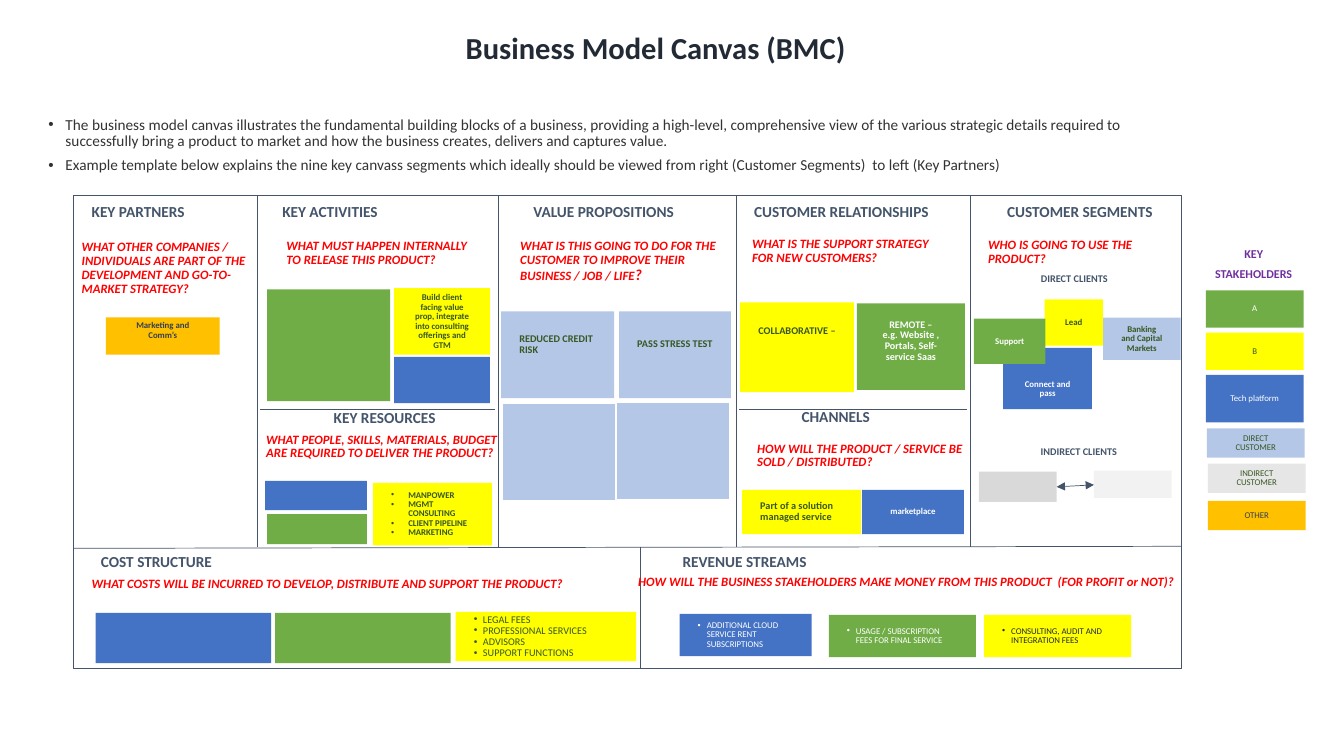
from lxml import etree
from pptx import Presentation
from pptx import util as u
from pptx.dml.color import RGBColor
from pptx.enum import shapes, text
from pptx.oxml.ns import qn

COLORS = {
    "ink": "222A35", "body": "333333", "slate": "44546A", "red": "FF0000", "purple": "7030A0",
    "green": "70AD47", "yellow": "FFFF00", "blue": "4472C4", "pale": "B4C7E7", "orange": "FFC000",
    "grey": "D9D9D9", "mist": "F2F2F2", "silver": "E7E6E6",
    "forest": "385723", "navy": "333F50", "white": "FFFFFF",
}
RGB = {name: RGBColor.from_string(value) for name, value in COLORS.items()}
LEFT, CENTER = text.PP_ALIGN.LEFT, text.PP_ALIGN.CENTER
MIDDLE, TOP = text.MSO_ANCHOR.MIDDLE, text.MSO_ANCHOR.TOP

deck = Presentation()
deck.slide_width, deck.slide_height = u.Inches(13.33), u.Inches(7.5)
slide = deck.slides.add_slide(deck.slide_layouts[5])


def write(shape, lines, size, color, bold=False, italic=False, align=LEFT, anchor=TOP,
          pad=(0.15, 0.15), after=0, bullet=0):
    """Fill a shape with paragraphs; pad is top and bottom, bullet the hanging indent in inches."""
    frame = shape.text_frame
    frame.word_wrap, frame.vertical_anchor = True, anchor
    frame.margin_left = frame.margin_right = u.Inches(0.18)
    frame.margin_top, frame.margin_bottom = (u.Inches(p) for p in pad)
    for i, line in enumerate(lines):
        paragraph = frame.paragraphs[0] if i == 0 else frame.add_paragraph()
        paragraph.text = line
        paragraph.alignment, paragraph.line_spacing = align, 0.9
        paragraph.space_after = u.Pt(after)
        if bullet:
            props = paragraph._p.get_or_add_pPr()
            props.set("marL", str(u.Inches(bullet)))
            props.set("indent", str(-u.Inches(bullet)))
            etree.SubElement(props, qn("a:buFont")).set("typeface", "Arial")
            etree.SubElement(props, qn("a:buChar")).set("char", "•")
        font = paragraph.font
        font.name, font.size, font.color.rgb = "Calibri", u.Pt(size), RGB[color]
        font.bold, font.italic = bold, italic


def rule(x1, y1, x2, y2):
    line = slide.shapes.add_connector(shapes.MSO_CONNECTOR.STRAIGHT,
                                      *(u.Inches(v) for v in (x1, y1, x2, y2)))
    line.line.color.rgb, line.line.width = RGB["slate"], u.Pt(0.5)
    etree.SubElement(line._element.spPr, qn("a:effectLst"))
    return line


title = slide.shapes.title
title.left, title.top, title.width, title.height = (u.Inches(v) for v in (2.07, 0.18, 8.87, 0.63))
write(title, ["Business Model Canvas (BMC)"], 21.8, "ink", bold=True, align=CENTER,
      anchor=MIDDLE, pad=(0.05, 0.05))

intro = slide.shapes.add_textbox(*(u.Inches(v) for v in (0.3, 1.01, 11.73, 0.86)))
write(intro, [
    "The business model canvas illustrates the fundamental building blocks of a business, "
    "providing a high-level, comprehensive view of the various strategic details required to "
    "successfully bring a product to market and how the business creates, delivers and captures value.",
    "Example template below explains the nine key canvass segments which ideally should be viewed "
    "from right (Customer Segments)  to left (Key Partners)",
], 10.9, "body", after=5.4, bullet=0.17)

# Canvas grid: five columns, split by a middle row, above two bottom cells
COLS = [0.73, 2.55, 4.94, 7.3, 9.62, 11.72]
ROWS = [1.94, 4.06, 5.43, 6.63]
SPLIT = 6.35
canvas = slide.shapes.add_shape(shapes.MSO_SHAPE.RECTANGLE, u.Inches(COLS[0]), u.Inches(ROWS[0]),
                                u.Inches(COLS[-1] - COLS[0]), u.Inches(ROWS[-1] - ROWS[0]))
canvas.shadow.inherit = False
canvas.fill.background()
canvas.line.color.rgb, canvas.line.width = RGB["slate"], u.Pt(0.5)
for x in COLS[1:-1]:
    rule(x, ROWS[0], x, ROWS[2])
rule(COLS[0], 5.44, COLS[-1], 5.42)
rule(SPLIT, ROWS[2], SPLIT, ROWS[3])
for column in (1, 3):
    rule(COLS[column] + 0.03, ROWS[1], COLS[column + 1] - 0.03, ROWS[1])

# Tiles: left, top, width, height, fill, lines, text colour, size, bold, alignment, bullet, pad
FLAT = (0, 0)
tiles = [
    (1.05, 3.15, 1.13, 0.37, "orange", ["Marketing and Comm’s"], "navy", 6.3, True, CENTER, 0, (0, 0.11)),
    (2.65, 2.87, 1.22, 1.11, "green"),
    (3.91, 2.86, 0.95, 0.66, "yellow",
     ["Build client facing value prop, integrate into consulting offerings and GTM"],
     "forest", 6.3, True, CENTER, 0, FLAT),
    (3.91, 3.54, 0.95, 0.46, "blue"),
    (2.63, 4.77, 1.01, 0.29, "blue"),
    (2.65, 5.1, 0.99, 0.3, "green"),
    (3.7, 4.79, 1.18, 0.62, "yellow", ["MANPOWER", "MGMT CONSULTING", "CLIENT PIPELINE", "MARKETING"],
     "forest", 6.3, True, LEFT, 0.17, FLAT),
    (4.97, 3.09, 1.12, 0.86, "pale", ["REDUCED CREDIT RISK"], "forest", 7.3, True, LEFT, 0, (0, 0.21)),
    (6.14, 3.09, 1.11, 0.86, "pale", ["PASS STRESS TEST"], "forest", 7.3, True, LEFT, 0, (0, 0.21)),
    (4.99, 4.01, 1.11, 0.95, "pale"),
    (6.12, 4, 1.11, 0.95, "pale"),
    (7.34, 3, 1.13, 0.89, "yellow", ["COLLABORATIVE –"], "forest", 7.3, True, CENTER, 0, (0, 0.31)),
    (8.5, 3.01, 1.07, 0.86, "green", ["REMOTE –", "e.g. Website , Portals, Self-service Saas"],
     "white", 7.2, True, CENTER, 0, (0, 0.11)),
    (7.36, 4.86, 1.18, 0.44, "yellow", ["Part of a solution managed service"],
     "forest", 7.3, True, LEFT, 0, FLAT),
    (8.55, 4.86, 1.01, 0.44, "blue", ["marketplace"], "white", 6.3, True, CENTER, 0, FLAT),
    (10.94, 3.15, 0.77, 0.42, "pale", ["Banking and Capital Markets"], "forest", 6.3, True, CENTER, 0, FLAT),
    (10.36, 2.97, 0.58, 0.46, "yellow", ["Lead"], "forest", 6.3, True, CENTER, 0, FLAT),
    (9.95, 3.45, 0.88, 0.61, "blue", ["Connect and pass"], "white", 6.3, True, CENTER, 0, (0.21, 0)),
    (9.66, 3.16, 0.71, 0.45, "green", ["Support"], "white", 6.3, True, CENTER, 0, FLAT),
    (9.71, 4.68, 0.77, 0.3, "grey"),
    (10.85, 4.67, 0.77, 0.27, "mist"),
    (0.95, 6.08, 1.74, 0.5, "blue"),
    (2.73, 6.08, 1.74, 0.5, "green"),
    (4.52, 6.07, 1.79, 0.49, "yellow",
     ["LEGAL FEES", "PROFESSIONAL SERVICES", "ADVISORS", "SUPPORT FUNCTIONS"],
     "forest", 7.3, False, LEFT, 0.09, FLAT),
    (6.74, 6.09, 1.31, 0.42, "blue", ["ADDITIONAL CLOUD SERVICE RENT SUBSCRIPTIONS"],
     "white", 6.3, False, LEFT, 0.09, FLAT),
    (8.22, 6.1, 1.46, 0.42, "green", ["USAGE / SUBSCRIPTION FEES FOR FINAL SERVICE"],
     "white", 6.3, False, LEFT, 0.09, FLAT),
    (9.76, 6.1, 1.46, 0.42, "yellow", ["CONSULTING, AUDIT AND INTEGRATION FEES"],
     "ink", 6.3, False, LEFT, 0.09, FLAT),
]
stakeholders = [
    (11.96, 2.88, 0.37, "green", "A", "white"),
    (11.96, 3.3, 0.37, "yellow", "B", "forest"),
    (11.96, 3.72, 0.47, "blue", "Tech platform", "white"),
    (11.97, 4.25, 0.29, "pale", "DIRECT CUSTOMER", "forest"),
    (11.98, 4.6, 0.29, "silver", "INDIRECT CUSTOMER", "forest"),
    (11.98, 4.97, 0.29, "orange", "OTHER", "navy"),
]
tiles += [(x, y, 0.97, height, fill, [label], color, 6.3, False, CENTER, 0, FLAT)
          for x, y, height, fill, label, color in stakeholders]
for x, y, width, height, fill, *content in tiles:
    tile = slide.shapes.add_shape(shapes.MSO_SHAPE.RECTANGLE,
                                  *(u.Inches(v) for v in (x, y, width, height)))
    tile.shadow.inherit = False
    tile.fill.solid()
    tile.fill.fore_color.rgb = RGB[fill]
    tile.line.fill.background()
    if content:
        lines, color, size, bold, align, bullet, pad = content
        write(tile, lines, size, color, bold=bold, align=align, anchor=MIDDLE, pad=pad, bullet=bullet)

client_link = rule(10.48, 4.83, 10.85, 4.81)
for end in ("a:headEnd", "a:tailEnd"):
    etree.SubElement(client_link.line._get_or_add_ln(), qn(end)).set("type", "triangle")

# Segments: heading with left, top, width, alignment; question with left, top, width
segments = [
    ("KEY PARTNERS", COLS[0], ROWS[0], 1.64, LEFT,
     "WHAT OTHER COMPANIES / INDIVIDUALS ARE PART OF THE DEVELOPMENT AND GO-TO-MARKET STRATEGY?",
     0.63, 2.24, 2.02),
    ("KEY ACTIVITIES", 2.62, ROWS[0], 1.64, LEFT,
     "WHAT MUST HAPPEN INTERNALLY TO RELEASE THIS PRODUCT?", 2.66, 2.24, 2.31),
    ("VALUE PROPOSITIONS", 5.11, ROWS[0], 2.29, LEFT,
     "WHAT IS THIS GOING TO DO FOR THE CUSTOMER TO IMPROVE THEIR BUSINESS / JOB / LIFE",
     4.98, 2.23, 2.31),
    ("CUSTOMER RELATIONSHIPS", COLS[3], ROWS[0], 2.5, LEFT,
     "WHAT IS THE SUPPORT STRATEGY FOR NEW CUSTOMERS?", 7.28, 2.22, 2.31),
    ("CUSTOMER SEGMENTS", 9.46, ROWS[0], 2.5, CENTER,
     "WHO IS GOING TO USE THE PRODUCT?", COLS[4], 2.23, 2.31),
    ("KEY RESOURCES", 2.8, 3.99, 2.03, CENTER,
     "WHAT PEOPLE, SKILLS, MATERIALS, BUDGET ARE REQUIRED TO DELIVER THE PRODUCT?", 2.46, 4.16, 2.66),
    ("CHANNELS", 7.77, 3.98, 1.64, LEFT,
     "HOW WILL THE PRODUCT / SERVICE BE SOLD / DISTRIBUTED?", 7.33, 4.25, 2.45),
    ("COST STRUCTURE", 0.82, 5.42, 2.09, LEFT,
     "WHAT COSTS WILL BE INCURRED TO DEVELOP, DISTRIBUTE AND SUPPORT THE PRODUCT?", 0.73, 5.66, 5.34),
    ("REVENUE STREAMS", 6.59, 5.42, 2.29, LEFT,
     "HOW WILL THE BUSINESS STAKEHOLDERS MAKE MONEY FROM THIS PRODUCT  (FOR PROFIT or NOT)?",
     6.15, 5.64, 5.72),
]
for name, x, y, width, align, question, question_x, question_y, question_width in segments:
    heading = slide.shapes.add_textbox(*(u.Inches(v) for v in (x, y, width, 0.46)))
    write(heading, [name], 10.9, "slate", bold=True, align=align, after=5.4)
    prompt = slide.shapes.add_textbox(
        *(u.Inches(v) for v in (question_x, question_y, question_width, 0.57)))
    write(prompt, [question], 9.1, "red", bold=True, italic=True, after=5.4)
    if not question.endswith("?"):
        mark = prompt.text_frame.paragraphs[0].add_run()
        mark.text, mark.font.size = "?", u.Pt(10.9)

captions = [
    (9.68, 2.66, 1.95, 0.4, ["DIRECT CLIENTS"], 7.3, "slate"),
    (9.63, 4.38, 2.14, 0.4, ["INDIRECT CLIENTS"], 7.3, "slate"),
    (11.66, 2.31, 1.55, 0.62, ["KEY", "STAKEHOLDERS"], 8.6, "purple"),
]
for x, y, width, height, lines, size, color in captions:
    caption = slide.shapes.add_textbox(*(u.Inches(v) for v in (x, y, width, height)))
    write(caption, lines, size, color, bold=True, align=CENTER, after=5.4)

deck.save("out.pptx")
